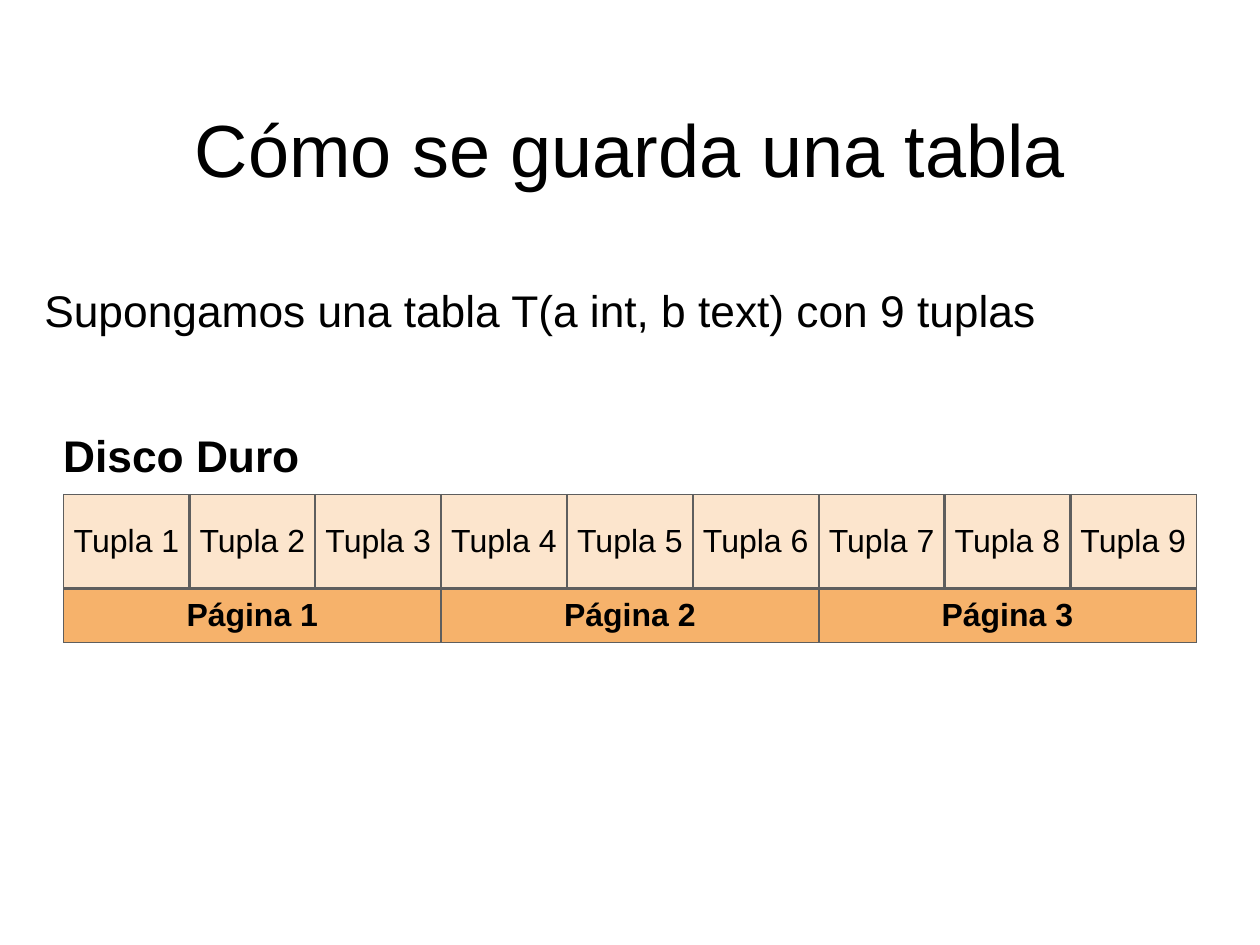
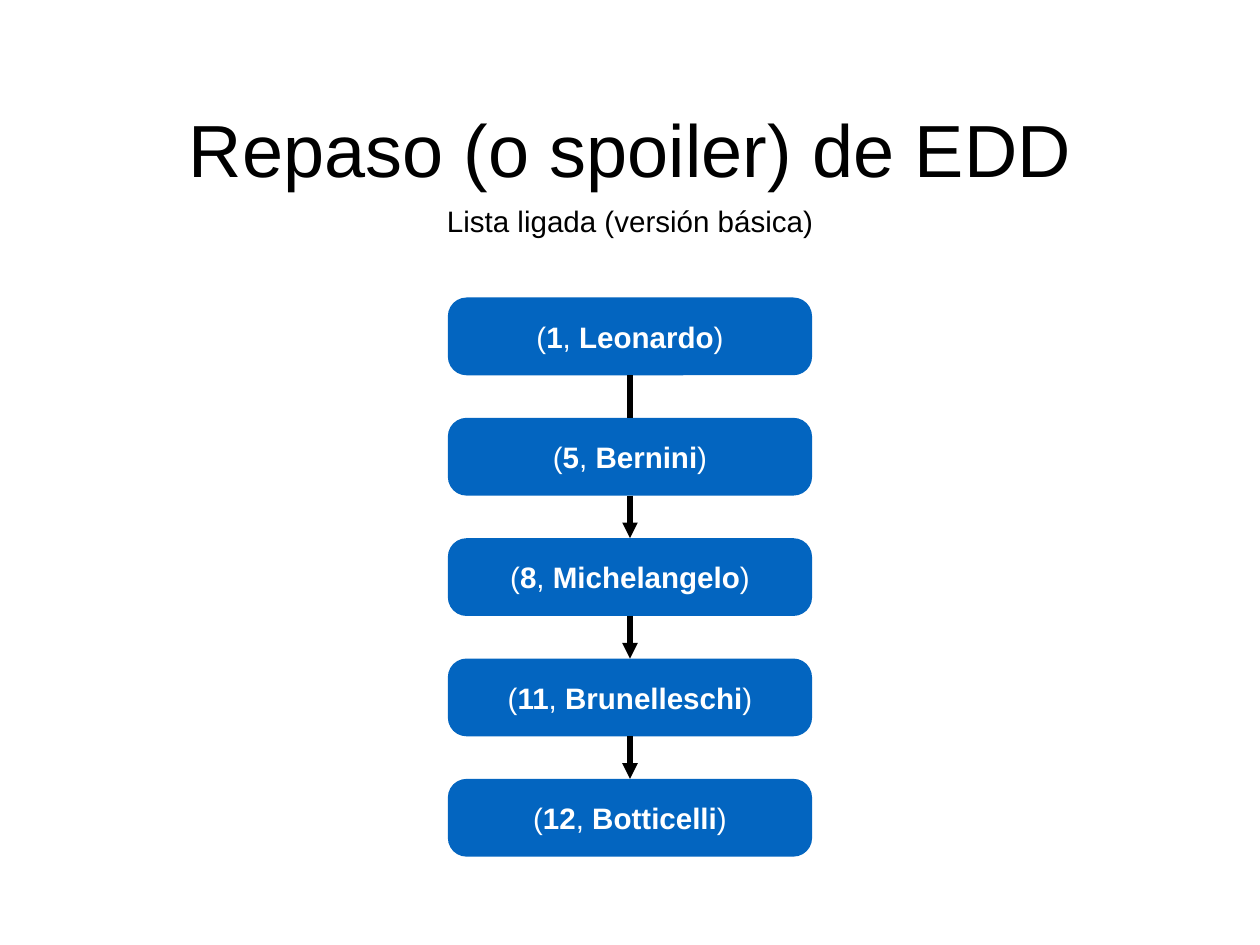
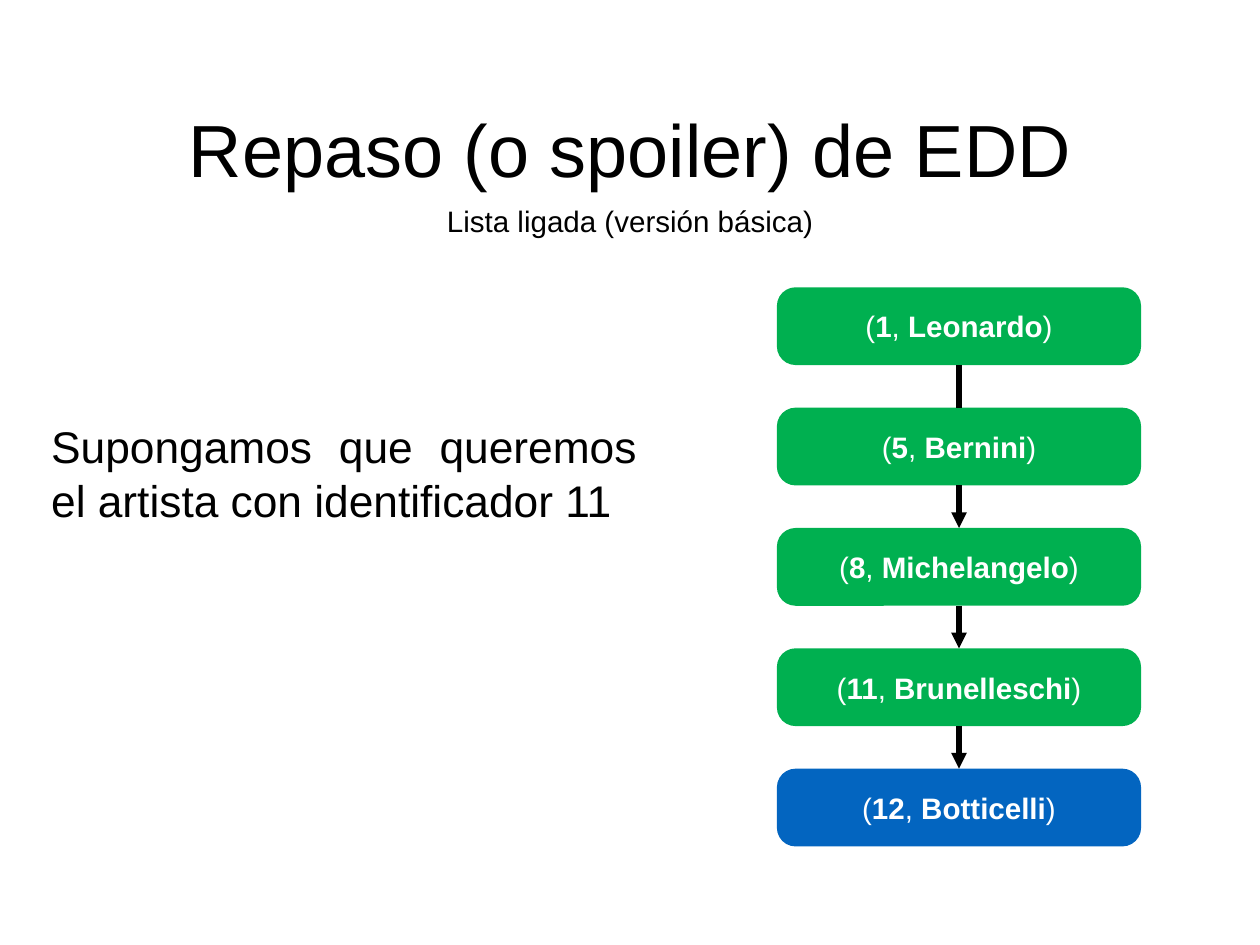
from typing import NamedTuple

import pptx
import pptx.dml.color
import pptx.enum.shapes
import pptx.enum.text
import pptx.oxml
import pptx.oxml.ns
import pptx.util
from pptx.presentation import Presentation
from pptx.shapes.autoshape import Shape
from pptx.slide import Slide
from pptx.table import _Cell
from pptx.text.text import Font, TextFrame

Pt = pptx.util.Pt
ALIGN = pptx.enum.text.PP_ALIGN

SLIDE_WIDTH, SLIDE_HEIGHT = 1024, 768
FONT = "Arial"
INSET = 4.4
COLORS = {
    "text": "000000",
    "node_text": "FFFFFF",
    "node": "0365C0",
    "visited": "00B050",
    "tuple": "FCE5CD",
    "page": "F6B26B",
    "border": "5E5E5E",
}
NO_TABLE_STYLE = "{2D5ABB26-0587-4C30-8999-92F81FD0307C}"

TUPLES, TUPLES_PER_PAGE = 9, 3
TUPLE_WIDTH = 102.3
ROW_HEIGHTS = (76.6, 43.7)
# Widths of the vertical rules, from the left edge to the right edge.
RULE_WIDTHS = (1, 2, 2, 2, 2, 2, 2, 2, 3, 1)

NODE_WIDTH, NODE_HEIGHT, NODE_PITCH = 296, 63.2, 97.8


class Box(NamedTuple):
    left: float
    top: float
    width: float
    height: float

    def lengths(self) -> tuple[pptx.util.Length, ...]:
        return tuple(Pt(value) for value in self)


class Artist(NamedTuple):
    number: int
    surname: str


class Borders(NamedTuple):
    left: float
    right: float
    top: float
    bottom: float


ARTISTS = (
    Artist(1, "Leonardo"),
    Artist(5, "Bernini"),
    Artist(8, "Michelangelo"),
    Artist(11, "Brunelleschi"),
    Artist(12, "Botticelli"),
)


def rgb(name: str) -> pptx.dml.color.RGBColor:
    return pptx.dml.color.RGBColor.from_string(COLORS[name])


def style_font(font: Font, size: float, color: str = "text", bold: bool = False) -> None:
    font.name = FONT
    font.size = Pt(size)
    font.bold = bold
    font.color.rgb = rgb(color)


def set_frame(frame: TextFrame) -> None:
    """Wrap the text, centre it vertically and give it even insets."""
    frame.word_wrap = True
    frame.vertical_anchor = pptx.enum.text.MSO_ANCHOR.MIDDLE
    frame.margin_left = frame.margin_right = Pt(INSET)
    frame.margin_top = frame.margin_bottom = Pt(INSET)


def add_text(slide: Slide, box: Box, text: str, size: float,
             align: ALIGN = ALIGN.LEFT, bold: bool = False) -> None:
    frame = slide.shapes.add_textbox(*box.lengths()).text_frame
    set_frame(frame)
    paragraph = frame.paragraphs[0]
    paragraph.text = text
    paragraph.alignment = align
    style_font(paragraph.runs[0].font, size, bold=bold)


def add_titled_slide(deck: Presentation, title: str, subtitle: str = "") -> Slide:
    slide = deck.slides.add_slide(deck.slide_layouts[6])
    add_text(slide, Box(147.5, 80, 729, 80), title, 60, ALIGN.CENTER)
    if subtitle:
        add_text(slide, Box(354, 161.3, 316, 36.7), subtitle, 24, ALIGN.CENTER)
    return slide


def fill_cell(cell: _Cell, text: str, fill: str, borders: Borders, bold: bool) -> None:
    properties = cell._tc.get_or_add_tcPr()
    for tag, width in zip(("lnL", "lnR", "lnT", "lnB"), borders):
        properties.append(pptx.oxml.parse_xml(
            f'<a:{tag} {pptx.oxml.ns.nsdecls("a")} w="{Pt(width)}"><a:solidFill>'
            f'<a:srgbClr val="{COLORS["border"]}"/></a:solidFill></a:{tag}>'))
    cell.fill.solid()
    cell.fill.fore_color.rgb = rgb(fill)
    cell.vertical_anchor = pptx.enum.text.MSO_ANCHOR.MIDDLE
    cell.margin_left = cell.margin_right = Pt(INSET)
    cell.margin_top = cell.margin_bottom = Pt(INSET)
    paragraph = cell.text_frame.paragraphs[0]
    paragraph.text = text
    paragraph.alignment = ALIGN.CENTER
    style_font(paragraph.runs[0].font, 26, bold=bold)


def add_disk(slide: Slide, left: float, top: float) -> None:
    """Draw the row of tuples above the pages that hold them."""
    box = Box(left, top, TUPLES * TUPLE_WIDTH, sum(ROW_HEIGHTS))
    disk = slide.shapes.add_table(2, TUPLES, *box.lengths()).table
    disk._tbl.tblPr.find(pptx.oxml.ns.qn("a:tableStyleId")).text = NO_TABLE_STYLE
    disk.first_row = disk.horz_banding = False
    for column in disk.columns:
        column.width = Pt(TUPLE_WIDTH)
    for row, height in zip(disk.rows, ROW_HEIGHTS):
        row.height = Pt(height)

    for index in range(TUPLES):
        borders = Borders(RULE_WIDTHS[index], RULE_WIDTHS[index + 1], 1, 2)
        fill_cell(disk.cell(0, index), f"Tupla {index + 1}", "tuple", borders, False)
    for page, first in enumerate(range(0, TUPLES, TUPLES_PER_PAGE), start=1):
        end = first + TUPLES_PER_PAGE
        cell = disk.cell(1, first)
        cell.merge(disk.cell(1, end - 1))
        borders = Borders(RULE_WIDTHS[first], RULE_WIDTHS[end], 2, 1)
        fill_cell(cell, f"Página {page}", "page", borders, True)


def add_node(slide: Slide, box: Box, artist: Artist, fill: str) -> Shape:
    node = slide.shapes.add_shape(
        pptx.enum.shapes.MSO_SHAPE.ROUNDED_RECTANGLE, *box.lengths())
    node.adjustments[0] = 0.24
    node.shadow.inherit = False
    node.fill.solid()
    node.fill.fore_color.rgb = rgb(fill)
    node.line.fill.background()
    set_frame(node.text_frame)
    paragraph = node.text_frame.paragraphs[0]
    paragraph.alignment = ALIGN.CENTER
    for index, part in enumerate(("(", str(artist.number), ", ", artist.surname, ")")):
        run = paragraph.add_run()
        run.text = part
        style_font(run.font, 24, "node_text", bold=index % 2 == 1)
    return node


def link_nodes(slide: Slide, upper: Shape, lower: Shape, arrow: bool) -> None:
    link = slide.shapes.add_connector(
        pptx.enum.shapes.MSO_CONNECTOR.STRAIGHT, Pt(0), Pt(0), Pt(0), Pt(0))
    link.begin_connect(upper, 2)
    link.end_connect(lower, 0)
    link.line.width = Pt(4.25)
    link.line.color.rgb = rgb("text")
    if arrow:
        link.line._get_or_add_ln().append(pptx.oxml.parse_xml(
            f'<a:tailEnd {pptx.oxml.ns.nsdecls("a")} type="triangle"/>'))
    link._element.spPr.append(pptx.oxml.parse_xml(
        f'<a:effectLst {pptx.oxml.ns.nsdecls("a")}/>'))


def add_linked_list(slide: Slide, left: float, top: float, visited: int = 0) -> None:
    """Draw the artists from top to bottom, the first `visited` ones in green."""
    nodes = [
        add_node(slide, Box(left, top + index * NODE_PITCH, NODE_WIDTH, NODE_HEIGHT),
                 artist, "visited" if index < visited else "node")
        for index, artist in enumerate(ARTISTS)
    ]
    for index, (upper, lower) in enumerate(zip(nodes, nodes[1:])):
        link_nodes(slide, upper, lower, arrow=index > 0)


def main() -> None:
    deck = pptx.Presentation()
    deck.slide_width, deck.slide_height = Pt(SLIDE_WIDTH), Pt(SLIDE_HEIGHT)

    storage = add_titled_slide(deck, "Cómo se guarda una tabla")
    add_disk(storage, 51.7, 401.7)
    add_text(storage, Box(31.7, 226, 960.5, 51),
             "Supongamos una tabla T(a int, b text) con 9 tuplas", 36)
    add_text(storage, Box(47, 344.2, 882.7, 51), "Disco Duro", 36, bold=True)

    review = ("Repaso (o spoiler) de EDD", "Lista ligada (versión básica)")
    basic_list = add_titled_slide(deck, *review)
    add_linked_list(basic_list, 364, 241.8)

    search = add_titled_slide(deck, *review)
    add_text(search, Box(37.2, 337, 484.6, 94.3),
             "Supongamos que queremos el artista con identificador 11", 36, ALIGN.JUSTIFY)
    add_linked_list(search, 631.4, 233.5, visited=4)

    deck.save("out.pptx")


if __name__ == "__main__":
    main()
